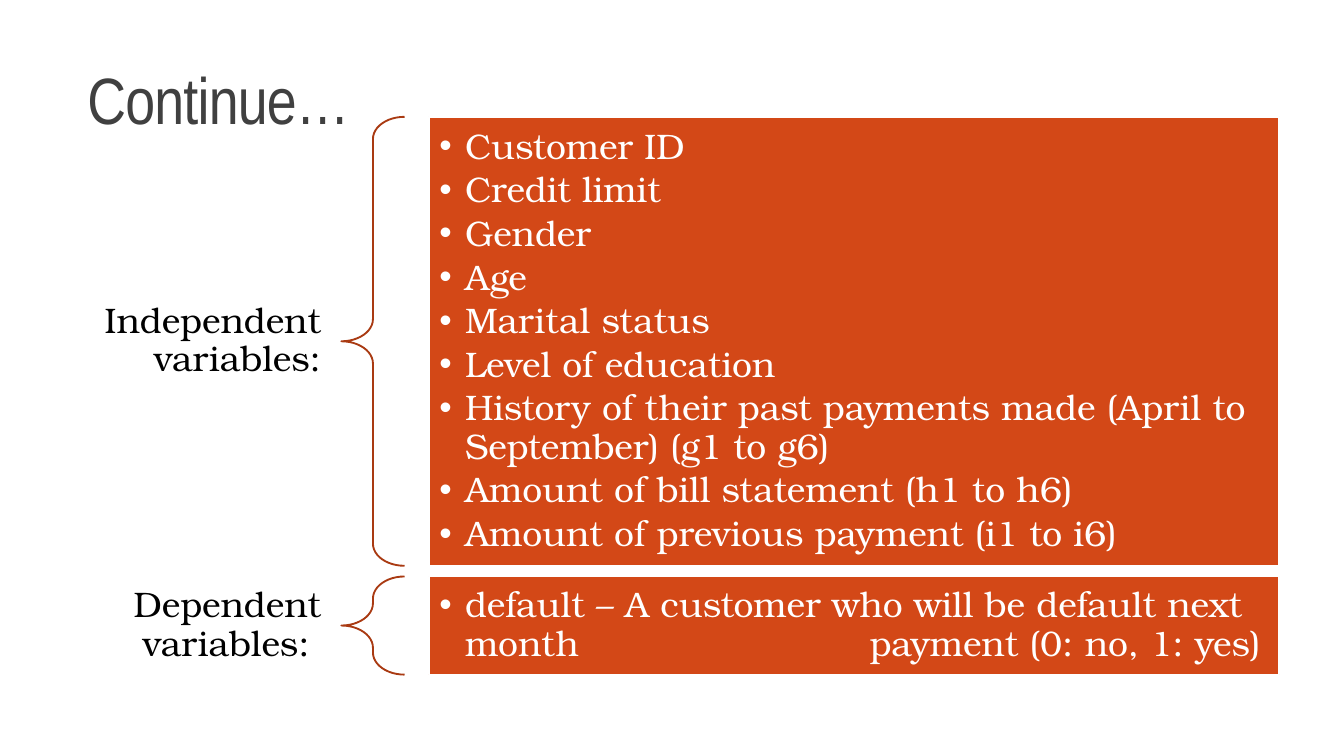
"""Build a slide that lists the independent and dependent variables of a data set."""
from pptx import Presentation
from pptx.dml.color import RGBColor
from pptx.enum.shapes import MSO_SHAPE as SHAPE
from pptx.enum.text import MSO_ANCHOR as ANCHOR, MSO_AUTO_SIZE as AUTO, PP_ALIGN as ALIGN
from pptx.oxml.ns import qn
from pptx.util import Inches, Pt
from lxml.etree import SubElement

ORANGE = RGBColor(0xD3, 0x48, 0x17)
RUST = RGBColor(0xA9, 0x3A, 0x12)
GREY = RGBColor(0x40, 0x40, 0x40)
BLACK = RGBColor(0, 0, 0)
WHITE = RGBColor(0xFF, 0xFF, 0xFF)
SERIF = "TeX Gyre Bonum"

LABEL_X, LABEL_W = 0.21, 2.33
BRACE_X, BRACE_W = LABEL_X + LABEL_W, 0.47
PANEL_X, PANEL_W = BRACE_X + BRACE_W + 0.18, 6.33
TOP, GAP, LABEL_H = 0.87, 0.08, 0.67
INDENT, TAB = 0.19, 3.2

GROUPS = [
    ("Independent variables:", 3.34, [
        "Customer ID",
        "Credit limit",
        "Gender",
        "Age",
        "Marital status",
        "Level of education",
        "History of their past payments made (April to September) (g1 to g6)",
        "Amount of bill statement (h1 to h6)",
        "Amount of previous payment (i1 to i6)",
    ]),
    ("Dependent variables: ", 0.73, [
        "default – A customer who will be default next month\tpayment (0: no, 1: yes)",
    ]),
]


def set_frame(tf, side, edge):
    tf.word_wrap = True
    tf.auto_size = AUTO.NONE
    tf.vertical_anchor = ANCHOR.MIDDLE
    tf.margin_left = tf.margin_right = Inches(side)
    tf.margin_top = tf.margin_bottom = Inches(edge)


def add_run(p, text, font, size, color):
    r = p.add_run()
    r.text = text
    r.font.name, r.font.size = font, Pt(size)
    r.font.color.rgb = color
    return r


prs = Presentation()
prs.slide_width = Inches(10)
prs.slide_height = prs.slide_width * 9 // 16
s = prs.slides.add_slide(prs.slide_layouts[5])

title = s.shapes.title
title.left, title.top = Inches(0.55), Inches(0.46)
title.width, title.height = Inches(9.32), Inches(0.63)
set_frame(title.text_frame, 0.1, 0.05)
p = title.text_frame.paragraphs[0]
p.alignment, p.line_spacing = ALIGN.LEFT, 0.85
r = add_run(p, "Continue…", "Arial Narrow", 35.1, GREY)
r.font._element.set("spc", "-40")

y = TOP
for label, height, items in GROUPS:
    label_y = y + (height - LABEL_H) / 2
    sp = s.shapes.add_textbox(Inches(LABEL_X), Inches(label_y), Inches(LABEL_W), Inches(LABEL_H))
    set_frame(sp.text_frame, 0.15, 0.05)
    p = sp.text_frame.paragraphs[0]
    p.alignment, p.line_spacing = ALIGN.RIGHT, 0.9
    add_run(p, label, SERIF, 19, BLACK)

    brace = s.shapes.add_shape(SHAPE.LEFT_BRACE, Inches(BRACE_X), Inches(y), Inches(BRACE_W), Inches(height))
    brace.shadow.inherit = False
    brace.adjustments[0], brace.adjustments[1] = 0.35, 0.5
    brace.fill.background()
    brace.line.color.rgb, brace.line.width = RUST, Pt(1)

    panel = s.shapes.add_shape(SHAPE.RECTANGLE, Inches(PANEL_X), Inches(y), Inches(PANEL_W), Inches(height))
    panel.shadow.inherit = False
    panel.fill.solid()
    panel.fill.fore_color.rgb = ORANGE
    panel.line.color.rgb, panel.line.width = WHITE, Pt(1)
    tf = panel.text_frame
    set_frame(tf, 0.08, 0.08)
    for i, item in enumerate(items):
        p = tf.add_paragraph() if i else tf.paragraphs[0]
        p.level = 1
        p.alignment, p.line_spacing, p.space_after = ALIGN.LEFT, 0.9, Pt(2.85)
        pPr = p._p.get_or_add_pPr()
        pPr.set("marL", str(Inches(INDENT)))
        pPr.set("indent", str(-Inches(INDENT)))
        SubElement(pPr, qn("a:buFont"), typeface="Arial")
        SubElement(pPr, qn("a:buChar"), char="•")
        if "\t" in item:
            tabs = SubElement(pPr, qn("a:tabLst"))
            SubElement(tabs, qn("a:tab"), pos=str(Inches(TAB)), algn="l")
        add_run(p, item, SERIF, 19, WHITE)
    y += height + GAP

prs.save("out.pptx")
